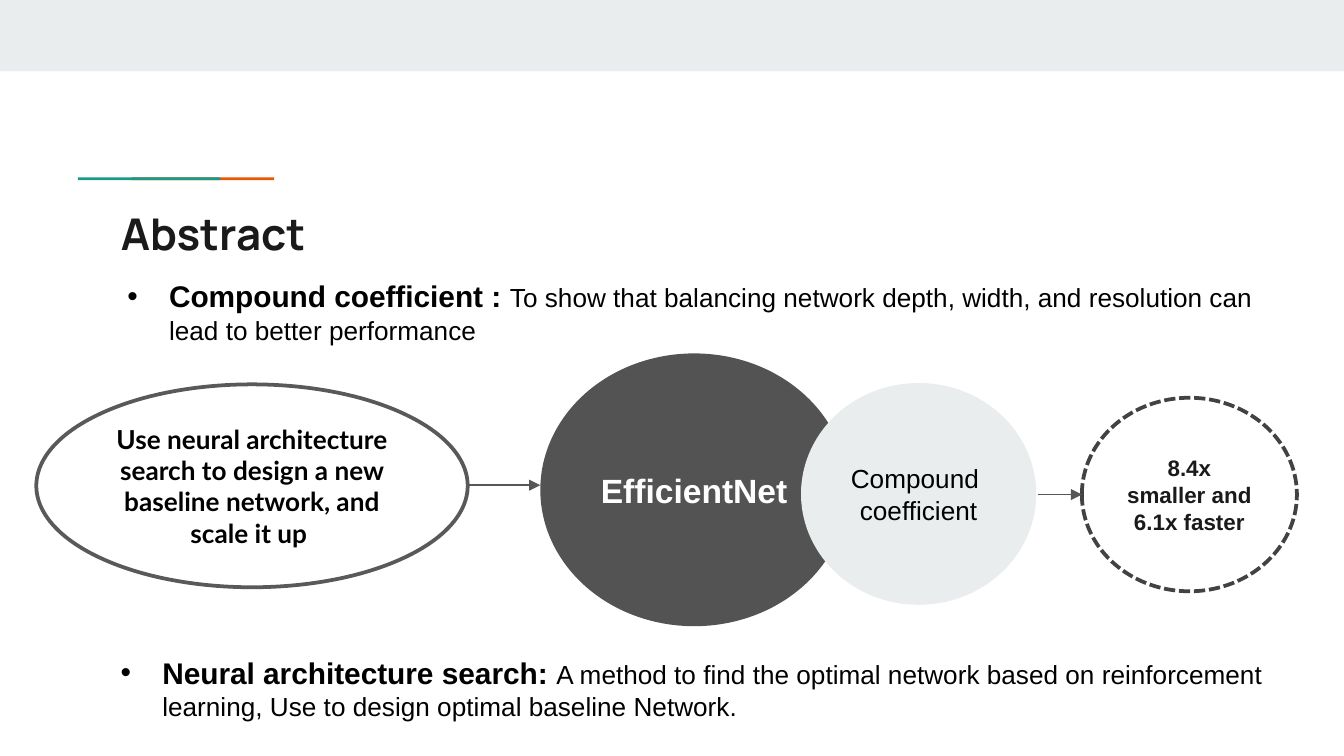
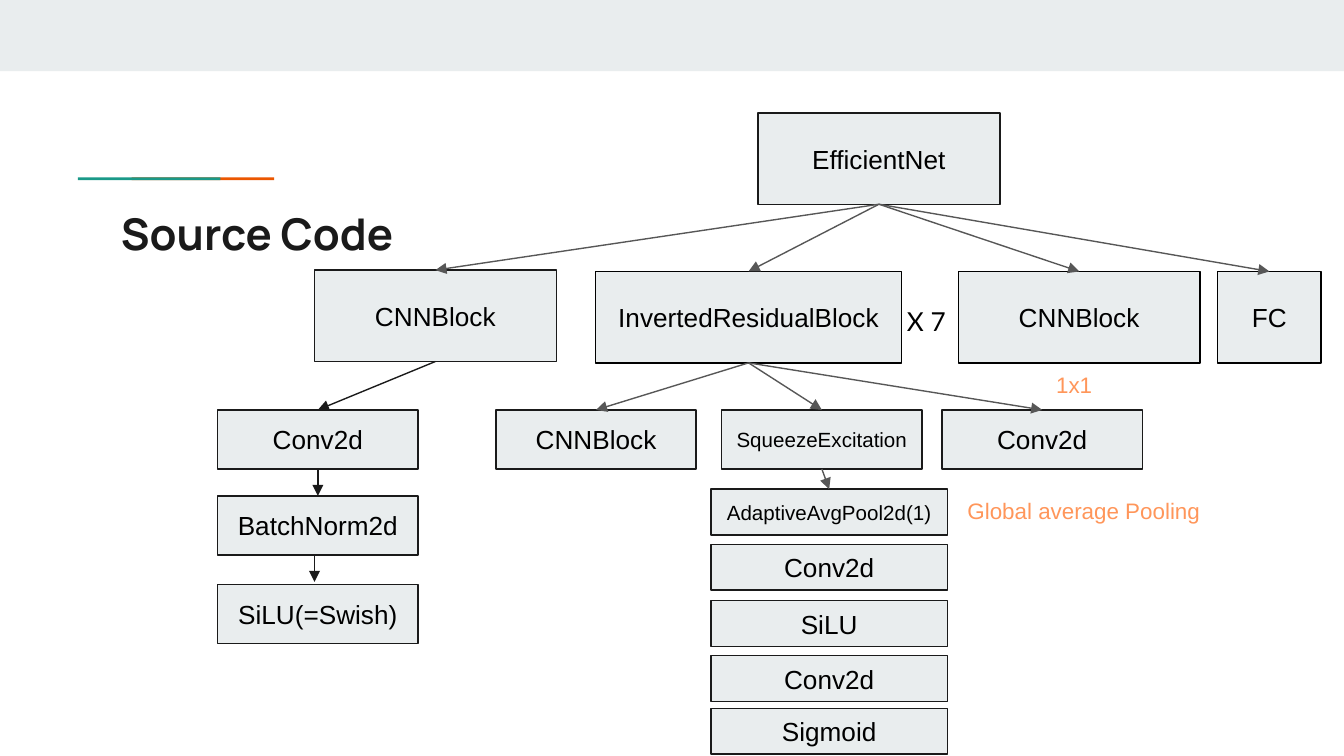
"""Build two slides on EfficientNet: an abstract and a source code tree."""
from pptx import Presentation
from pptx import util as u
from pptx.dml import color as dye
from pptx.enum import dml, shapes, text
from pptx.oxml.ns import qn
from lxml import etree

PX = u.Inches(1) // 100


class Theme:
    pale, dark, white, black = "E9EDEE", "535353", "FFFFFF", "000000"
    ink, gray, edge, dash = "1A1A1A", "575757", "595959", "424242"
    teal, rust, peach = "1A9988", "EB5600", "FF965A"
    title = {"name": "Manrope", "size": u.Pt(23.4), "bold": True}
    name = {"name": "Arial", "size": u.Pt(18), "bold": True}
    lead = {"name": "Arial", "size": u.Pt(16), "bold": True}
    body = {"name": "Arial", "size": u.Pt(14), "bold": False}
    lato = {"name": "Lato", "size": u.Pt(14), "bold": False}
    goal = {"name": "Lato", "size": u.Pt(14), "bold": True}
    fact = {"name": "Arial", "size": u.Pt(12), "bold": True}
    note = {"name": "Arial", "size": u.Pt(12), "bold": False}
    tiny = {"name": "Arial", "size": u.Pt(11), "bold": False}


T = Theme
RECT, OVAL = shapes.MSO_SHAPE.RECTANGLE, shapes.MSO_SHAPE.OVAL
LEFT, MID = text.PP_ALIGN.LEFT, text.PP_ALIGN.CENTER
TOP, HALF = text.MSO_ANCHOR.TOP, text.MSO_ANCHOR.MIDDLE
FIXED, GROW = text.MSO_AUTO_SIZE.NONE, text.MSO_AUTO_SIZE.SHAPE_TO_FIT_TEXT


def write(shape, paras, ink, align=MID, anchor=HALF, fit=FIXED, pad=5):
    frame = shape.text_frame
    form = {"word_wrap": True, "auto_size": fit, "vertical_anchor": anchor,
            "margin_left": 10 * PX, "margin_right": 10 * PX,
            "margin_top": pad * PX, "margin_bottom": pad * PX}
    for key, val in form.items():
        setattr(frame, key, val)
    for i, runs in enumerate(paras):
        para = frame.add_paragraph() if i else frame.paragraphs[0]
        para.alignment = align
        for words, look in runs:
            run = para.add_run()
            run.text = words
            run.font.color.rgb = dye.RGBColor.from_string(ink)
            for key, val in look.items():
                setattr(run.font, key, val)


def draw(page, kind, at, fill=None, edge=None, width=0.75):
    shape = page.shapes.add_shape(kind, *[n * PX for n in at])
    shape.shadow.inherit = False
    if fill:
        shape.fill.solid()
        shape.fill.fore_color.rgb = dye.RGBColor.from_string(fill)
    else:
        shape.fill.background()
    if edge:
        shape.line.color.rgb = dye.RGBColor.from_string(edge)
        shape.line.width = u.Pt(width)
    else:
        shape.line.fill.background()
    return shape


deck = Presentation()
deck.slide_width, deck.slide_height = 1000 * PX, u.Inches(5.625)
base = deck.slide_layouts[5]

pages = []
for head in ("Abstract", "Source Code"):
    page = deck.slides.add_slide(base)
    title = page.shapes.title
    spot = {"left": 80, "top": 144, "width": 841, "height": 59}
    for key, val in spot.items():
        setattr(title, key, val * PX)
    write(title, [[(head, T.title)]], T.ink, LEFT, TOP, pad=10)
    pages.append(page)
first, second = pages

bands = [((0, 0, 1000, 53), T.pale),
         ((98, 132, 106, 2), T.rust),
         ((58, 132, 106, 2), T.teal)]
for i, (at, fill) in enumerate(bands):
    band = draw(first, RECT, at, fill).element
    band.nvSpPr.cNvPr.set("id", str(20 + i))
    base.shapes.element.insert(2 + i, band)

ovals = [
    ((402, 263, 229, 203), T.dark, None, T.white, [[("EfficientNet", T.name)]]),
    ((596, 285, 175, 165), T.pale, None, T.black,
     [[("Compound ", T.body)], [("coefficient", T.body)]]),
    ((27, 286, 321, 151), None, T.edge, T.black,
     [[("Use neural architecture search to design a new baseline network, "
        "and scale it up ", T.goal)]]),
    ((805, 296, 160, 144), None, T.dash, T.ink,
     [[("8.4x smaller and 6.1x faster", T.fact)]]),
]
for at, fill, edge, ink, paras in ovals:
    oval = draw(first, OVAL, at, fill, edge, 2)
    write(oval, paras, ink)
oval.line.dash_style = dml.MSO_LINE.SQUARE_DOT

points = [
    ((80, 482, 876, 61), "Neural architecture search: ",
     "A method to find the optimal network based on reinforcement learning, "
     "Use to design optimal baseline Network."),
    ((85, 202, 876, 61), "Compound coefficient : ",
     "To show that balancing network depth, width, and resolution can lead "
     "to better performance"),
]
for at, lead, rest in points:
    box = first.shapes.add_textbox(*[n * PX for n in at])
    write(box, [[(lead, T.lead), (rest, T.body)]], T.black, LEFT, TOP, GROW)
    props = box.text_frame.paragraphs[0].element if hasattr(
        box.text_frame.paragraphs[0], "element") else box.text_frame.paragraphs[0]._p
    props = props.get_or_add_pPr()
    props.set("marL", str(31 * PX))
    props.set("indent", str(-31 * PX))
    tint = etree.SubElement(props, qn("a:buClr"))
    etree.SubElement(tint, qn("a:srgbClr"), val=T.black)
    etree.SubElement(props, qn("a:buFont"), typeface="Arial")
    etree.SubElement(props, qn("a:buChar"), char="•")

tree = [
    ("root", "EfficientNet", (564, 84, 180, 68), T.ink, T.body),
    ("stem", "CNNBlock", (234, 201, 180, 68), T.ink, T.body),
    ("main", "InvertedResidualBlock", (443, 202, 228, 68), T.black, T.body),
    ("last", "CNNBlock", (713, 202, 180, 68), T.black, T.body),
    ("fc", "FC", (906, 202, 77, 68), T.black, T.body),
    ("norm", "BatchNorm2d", (162, 369, 149, 44), T.ink, T.body),
    ("act", "SiLU(=Swish)", (162, 435, 149, 44), T.ink, T.body),
]
row = [("conv", "Conv2d", 162, T.body), ("block", "CNNBlock", 369, T.body),
       ("squeeze", "SqueezeExcitation", 537, T.tiny), ("point", "Conv2d", 701, T.body)]
for key, words, x, look in row:
    tree.append((key, words, (x, 305, 149, 44), T.ink, look))
stack = [("pool", "AdaptiveAvgPool2d(1)", 364, T.tiny), ("down", "Conv2d", 405, T.body),
         ("silu", "SiLU", 447, T.body), ("up", "Conv2d", 488, T.body),
         ("gate", "Sigmoid", 527, T.body)]
for key, words, y, look in stack:
    tree.append((key, words, (529, y, 176, 34), T.ink, look))

nodes = {}
for key, words, at, edge, look in tree:
    nodes[key] = draw(second, RECT, at, T.pale, edge)
    write(nodes[key], [[(words, look)]], T.black, pad=10)

notes = [("X 7", (665, 217, 81, 44), T.black, T.lato, 10),
         ("Global average Pooling", (710, 365, 280, 30), T.peach, T.note, 5),
         ("1x1", (776, 271, 77, 30), T.peach, T.note, 5)]
for words, at, ink, look, pad in notes:
    box = second.shapes.add_textbox(*[n * PX for n in at])
    write(box, [[(words, look)]], ink, LEFT, TOP, GROW, pad)

arrows = [(first, (348, 361, 402, 361), T.gray, None),
          (first, (772, 368, 805, 368), T.gray, None),
          (second, (234, 413, 234, 433), T.ink, None)]
links = [("root", "stem main last fc", T.gray), ("main", "block squeeze point", T.gray),
         ("squeeze", "pool", T.gray), ("stem", "conv", T.ink), ("conv", "norm", T.ink)]
for top, kids, ink in links:
    for kid in kids.split():
        arrows.append((second, (0, 0, 0, 0), ink, (nodes[top], nodes[kid])))

for page, ends, ink, pair in arrows:
    line = page.shapes.add_connector(shapes.MSO_CONNECTOR.STRAIGHT, *[n * PX for n in ends])
    if pair:
        line.begin_connect(pair[0], 2)
        line.end_connect(pair[1], 0)
    line.line.color.rgb = dye.RGBColor.from_string(ink)
    line.line.width = u.Pt(0.75)
    etree.SubElement(line.get_or_add_ln(), qn("a:tailEnd"), type="triangle")
    etree.SubElement(line.element.spPr, qn("a:effectLst"))

deck.save("out.pptx")
